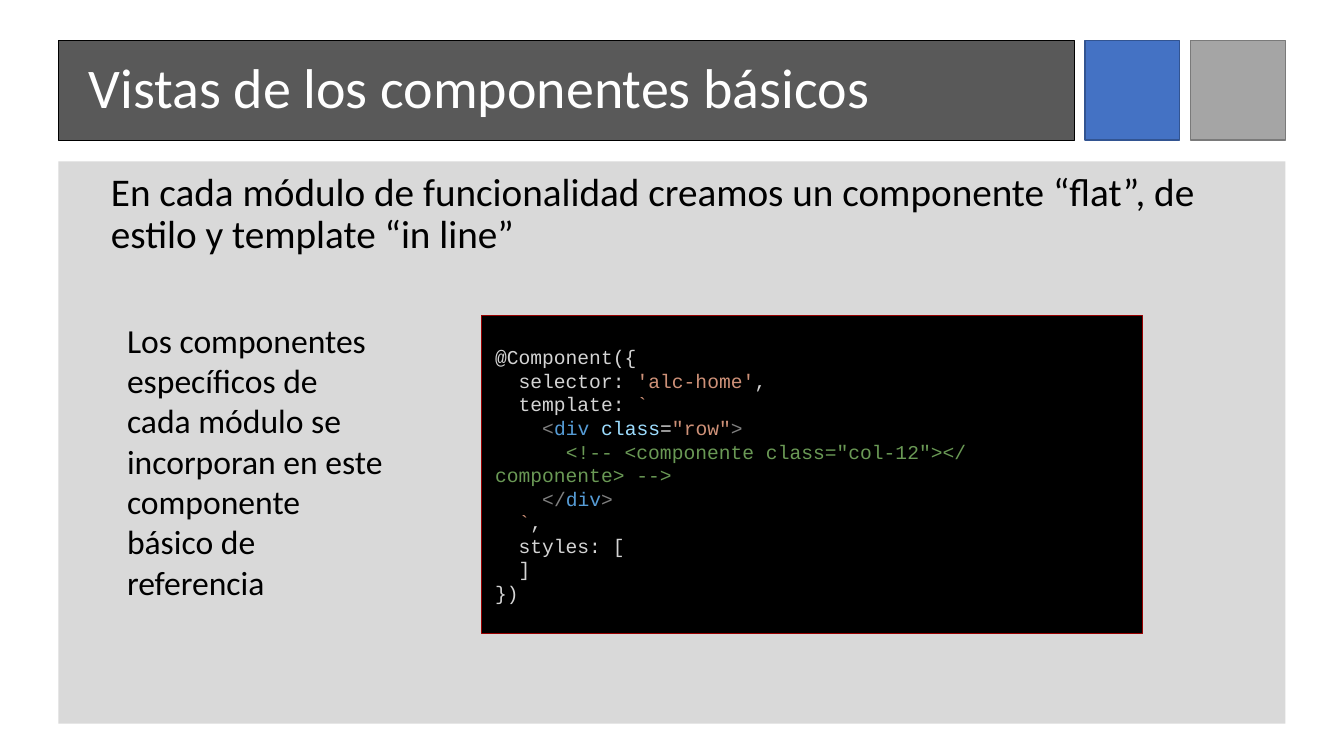
"""Build the slide about the views of the basic components."""
from pptx import Presentation
from pptx import util as u
from pptx.dml.color import RGBColor
from pptx.enum import shapes, text
from pptx.oxml.ns import qn


def paint(fmt, color):
    fmt.solid()
    fmt.fore_color.rgb = RGBColor.from_string(color)


def write(p, runs, **font):
    p.space_before = u.Pt(0)
    for words, color in runs:
        r = p.add_run()
        r.text = words
        for name, value in font.items():
            setattr(r.font, name, value)
        paint(r.font.fill, color)


prs = Presentation()
prs.slide_width, prs.slide_height = u.Inches(13.33), u.Inches(7.5)
s = prs.slides.add_slide(prs.slide_layouts[1])
title, body = s.placeholders

BLOCKS = {
    "panel": ((0.58, 1.6, 12.17, 5.58), "D9D9D9", None, 0),
    "blue": ((10.76, 0.4, 0.94, 0.99), "4472C4", "325491", 1),
    "gray": ((11.81, 0.4, 0.94, 0.99), "A5A5A5", "7A7A7A", 1),
    "code": ((4.78, 3.13, 6.55, 3.16), "000000", "980000", 0.75),
}
blocks = {}
for name, (box, fill, line, width) in BLOCKS.items():
    sp = s.shapes.add_shape(shapes.MSO_SHAPE.RECTANGLE, *map(u.Inches, box))
    sp.shadow.inherit = False
    paint(sp.fill, fill)
    if line:
        paint(sp.line.fill, line)
        sp.line.width = u.Pt(width)
    else:
        sp.line.fill.background()
    blocks[name] = sp
title._element.addprevious(blocks["panel"]._element)

paint(title.fill, "595959")
paint(title.line.fill, "000000")
title.line.width = u.Pt(0.5)
note = s.shapes.add_textbox(0, 0, 0, 0)

TEXTS = [
    (title, (0.58, 0.4, 10.08, 0.99), "Vistas de los componentes básicos",
     40, "FFFFFF", 0.9, 0.2, (0.1, 0.05), text.MSO_ANCHOR.MIDDLE),
    (body, (1.03, 1.64, 11.43, 1.4),
     "En cada módulo de funcionalidad creamos un componente “flat”, de estilo y template “in line”",
     28, "000000", 0.9, 0, (0.07, 0.07), text.MSO_ANCHOR.TOP),
    (note, (1.13, 3.04, 2.81, 1.88),
     "Los componentes específicos de cada módulo se incorporan en este componente básico de referencia",
     24, "000000", 1, 0, (0.13, 0.13), text.MSO_ANCHOR.TOP),
]
for sp, box, words, size, color, spacing, indent, (side, top), anchor in TEXTS:
    sp.left, sp.top, sp.width, sp.height = map(u.Inches, box)
    tf = sp.text_frame
    frame = {"word_wrap": True, "auto_size": text.MSO_AUTO_SIZE.NONE, "vertical_anchor": anchor,
             "margin_left": u.Inches(side), "margin_right": u.Inches(side),
             "margin_top": u.Inches(top), "margin_bottom": u.Inches(top)}
    for name, value in frame.items():
        setattr(tf, name, value)
    p = tf.paragraphs[0]
    pPr = p._p.get_or_add_pPr()
    pPr.set("marL", str(u.Inches(indent)))
    pPr.set("indent", "0")
    pPr.append(pPr.makeelement(qn("a:buNone"), {}))
    p.alignment = text.PP_ALIGN.LEFT
    p.line_spacing = spacing
    write(p, [(words, color)], name="Calibri", size=u.Pt(size))

PLAIN, STRING, MARK, TAG, ATTR, REMARK = "D4D4D4", "CE9178", "808080", "569CD6", "9CDCFE", "6A9955"
CODE = [
    [("@Component({", PLAIN)],
    [("  selector: ", PLAIN), ("'alc-home'", STRING), (",", PLAIN)],
    [("  template: ", PLAIN), ("`", STRING)],
    [("    ", PLAIN), ("<", MARK), ("div ", TAG), ("class", ATTR), ("=", PLAIN),
     ('"row"', STRING), (">", MARK)],
    [("      ", PLAIN), ('<!-- <componente class="col-12"></componente> -->', REMARK)],
    [("    ", PLAIN), ("</", MARK), ("div", TAG), (">", MARK)],
    [("  ", PLAIN), ("`", STRING), (",", PLAIN)],
    [("  styles: [", PLAIN)],
    [("  ]", PLAIN)],
    [("})", PLAIN)],
]
tf = blocks["code"].text_frame
tf.word_wrap = True
tf.vertical_anchor = text.MSO_ANCHOR.MIDDLE
for side in ("left", "right", "top", "bottom"):
    setattr(tf, f"margin_{side}", u.Inches(0.13))
for i, line in enumerate(CODE):
    p = tf.add_paragraph() if i else tf.paragraphs[0]
    p.alignment = text.PP_ALIGN.LEFT
    runs = [(words.replace(" ", chr(160)), color) for words, color in line]
    write(p, runs, name="Courier New", size=u.Pt(14))

prs.save("out.pptx")
